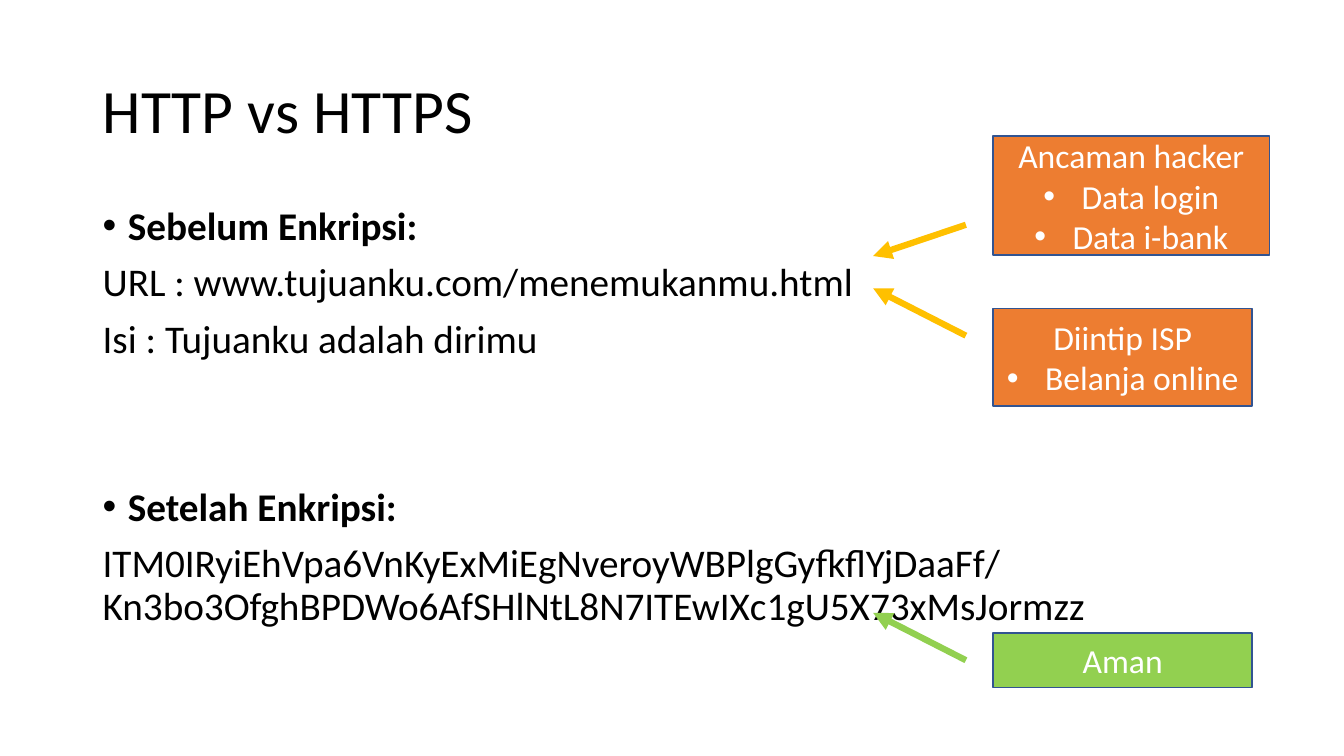
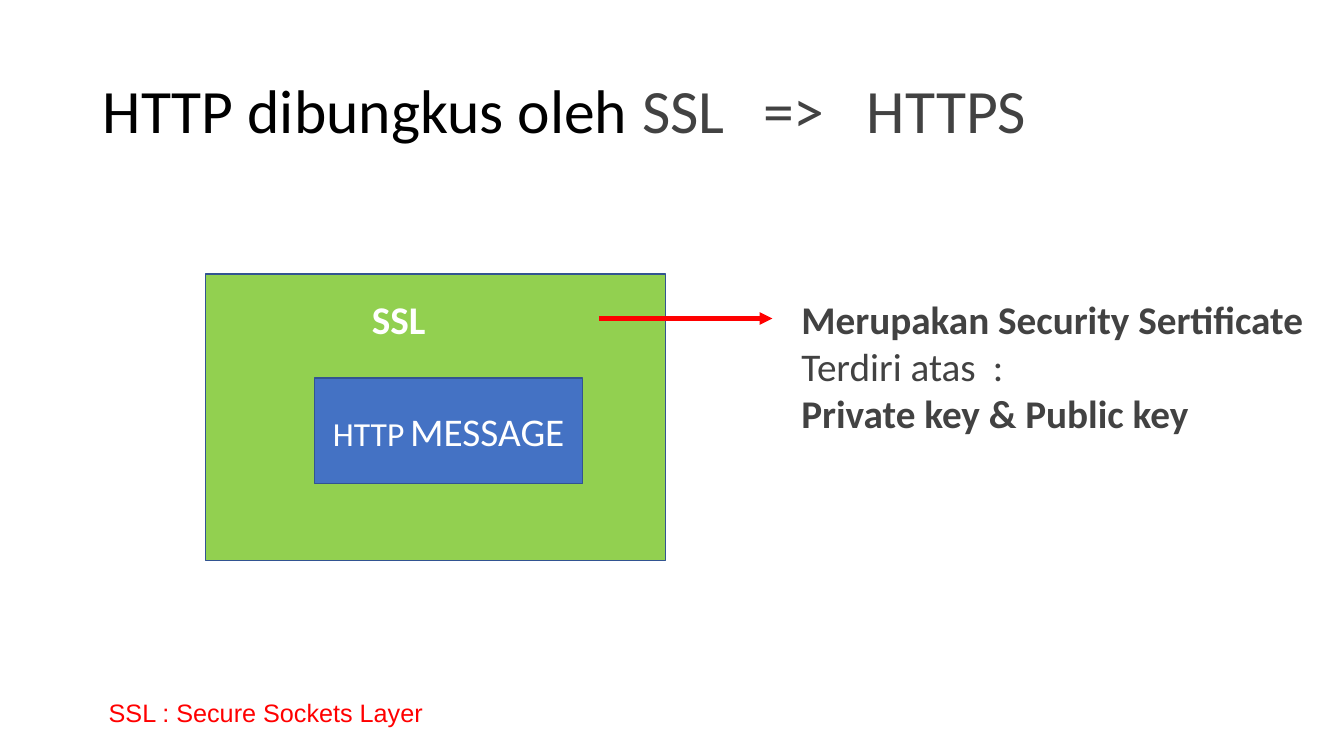
from lxml import etree
from pptx import Presentation
from pptx import util as u
from pptx.dml.color import RGBColor
from pptx.enum import shapes, text
from pptx.oxml import ns

COLORS = {
    "black": "000000", "white": "FFFFFF", "gray": "424242", "outline": "325491",
    "orange": "ED7D31", "yellow": "FFC000", "green": "92D050",
    "blue": "4472C4", "red": "FF0000",
}
TITLE_BOX = (0.92, 0.4, 11.5, 1.45)


def rgb(name):
    return RGBColor.from_string(COLORS[name])


def child(parent, tag, **attributes):
    return etree.SubElement(parent, ns.qn(tag), attributes)


def style_font(font, size=None, color=None, bold=None, name=None):
    if size:
        font.size = u.Pt(size)
    if color:
        font.color.rgb = rgb(color)
    if bold is not None:
        font.bold = bold
    if name:
        font.name = name


def fill_paragraph(paragraph, runs, size, color, bold=False, name="Calibri",
                   bullet=0, tabs=(), align=None, line_spacing=None, before=0):
    """Write a string or (string, font overrides) runs; bullet is the hanging indent."""
    properties = paragraph._p.get_or_add_pPr()
    if bullet:
        properties.set("marL", str(u.Inches(bullet)))
        properties.set("indent", str(-u.Inches(bullet)))
        child(properties, "a:buFont", typeface="Arial")
        child(properties, "a:buChar", char="•")
    if tabs:
        stops = child(properties, "a:tabLst")
        for stop in tabs:
            child(stops, "a:tab", pos=str(u.Inches(stop)), algn="l")
    style_font(paragraph.font, size, color, bold, name)
    paragraph.alignment = align
    paragraph.line_spacing = line_spacing
    if before:
        paragraph.space_before = u.Pt(before)
    for content, overrides in [(runs, {})] if isinstance(runs, str) else runs:
        run = paragraph.add_run()
        run.text = content
        style_font(run.font, **overrides)


def fill_frame(frame, paragraphs, **shared):
    """Write (runs, paragraph options) pairs; shared options apply to all of them."""
    for index, (runs, options) in enumerate(paragraphs):
        paragraph = frame.add_paragraph() if index else frame.paragraphs[0]
        fill_paragraph(paragraph, runs, **{**shared, **options})


def add_text(slide, box, paragraphs, wrap=True, anchor=text.MSO_ANCHOR.TOP, **shared):
    frame = slide.shapes.add_textbox(*map(u.Inches, box)).text_frame
    frame.word_wrap = wrap
    frame.vertical_anchor = anchor
    fill_frame(frame, paragraphs, **shared)


def add_title(slide, runs, tabs=()):
    add_text(slide, TITLE_BOX, [(runs, {})], anchor=text.MSO_ANCHOR.MIDDLE,
             size=44, color="black", line_spacing=0.9, tabs=tabs)


def add_box(slide, box, fill, paragraphs=()):
    shape = slide.shapes.add_shape(shapes.MSO_SHAPE.RECTANGLE, *map(u.Inches, box))
    shape.shadow.inherit = False
    shape.fill.solid()
    shape.fill.fore_color.rgb = rgb(fill)
    shape.line.color.rgb = rgb("outline")
    shape.line.width = u.Pt(1)
    shape.text_frame.word_wrap = True
    shape.text_frame.vertical_anchor = text.MSO_ANCHOR.MIDDLE
    fill_frame(shape.text_frame, paragraphs, size=24, color="white",
               align=text.PP_ALIGN.CENTER)


def add_arrow(slide, start, end, color, width):
    arrow = slide.shapes.add_connector(
        shapes.MSO_CONNECTOR.STRAIGHT, *map(u.Inches, (*start, *end)))
    arrow.line.color.rgb = rgb(color)
    arrow.line.width = u.Pt(width)
    child(arrow.line._get_or_add_ln(), "a:tailEnd", type="triangle")
    child(arrow._element.spPr, "a:effectLst")


def add_callout(slide, box, fill, arrow_color, arrow_top, arrow_rise, heading, items=()):
    """Box with an arrow on its left; arrow_top is measured from the top of the box."""
    left, top = box[:2]
    bullets = [(item, {"bullet": 0.38}) for item in items]
    add_box(slide, box, fill, [(heading, {}), *bullets])
    start = (left - 0.27, top + arrow_top)
    add_arrow(slide, start, (start[0] - 0.92, start[1] + arrow_rise), arrow_color, 4.5)


def add_encryption_text(slide, box):
    heading = {"bold": True, "bullet": 0.25}
    line = {"before": 10}
    add_text(slide, box, [
        ("Sebelum Enkripsi:", heading),
        ("URL : www.tujuanku.com/menemukanmu.html", line),
        ("Isi : Tujuanku adalah dirimu", line),
        ("Setelah Enkripsi:", {**heading, "before": 90}),
        ("ITM0IRyiEhVpa6VnKyExMiEgNveroyWBPlgGyfkflYjDaaFf/"
         "Kn3bo3OfghBPDWo6AfSHlNtL8N7ITEwIXc1gU5X73xMsJormzz", line),
    ], size=28, color="black", line_spacing=0.9)


def add_ssl_diagram(slide, box):
    left, top, width, height = box
    add_box(slide, box, "green")
    add_box(slide, (left + 1.08, top + 1.03, 2.66, 1.05), "blue", [
        ([("HTTP", {}), (" ", {"size": 18}), ("MESSAGE", {"size": 28})], {})])
    add_text(slide, (left + 1.55, top + 0.16, 0.74, 0.57), [("SSL", {})], wrap=False,
             size=28, color="white", bold=True)
    arrow_y = top + 0.44
    add_arrow(slide, (left + 3.9, arrow_y), (left + 5.62, arrow_y), "red", 3)


def add_certificate_text(slide, box):
    add_text(slide, box, [
        ("Merupakan Security Sertificate", {"bold": True}),
        ("Terdiri atas\t:", {"tabs": [1.9]}),
        ("Private key & Public key", {"bold": True}),
    ], size=28, color="gray")


def build_comparison(slide):
    add_title(slide, "HTTP vs HTTPS")
    add_encryption_text(slide, (0.92, 2, 11.5, 4.76))
    add_callout(slide, (9.85, 1.35, 2.74, 1.18), "orange", "yellow", 0.88, 0.31,
                "Ancaman hacker", ["Data login", "Data i-bank"])
    add_callout(slide, (9.85, 3.06, 2.57, 0.97), "orange", "yellow", 0.27, -0.47,
                "Diintip ISP", ["Belanja online"])
    add_callout(slide, (9.85, 6.28, 2.57, 0.54), "green", "green", 0.27, -0.47, "Aman")


def build_wrapping(slide):
    add_title(slide, [("HTTP dibungkus oleh ", {}),
                      ("SSL\t=>\tHTTPS", {"color": "gray"})], tabs=[6.55, 7.58])
    add_ssl_diagram(slide, (2.04, 2.72, 4.56, 2.84))
    add_certificate_text(slide, (7.85, 2.88, 5.25, 1.51))
    add_text(slide, (0.98, 6.87, 6.67, 0.4), [("SSL : Secure Sockets Layer", {})],
             size=18, color="red", name="Arial")


def main():
    presentation = Presentation()
    presentation.slide_width = u.Inches(13.33)
    presentation.slide_height = u.Inches(7.5)
    for build in (build_comparison, build_wrapping):
        build(presentation.slides.add_slide(presentation.slide_layouts[6]))
    presentation.save("out.pptx")


if __name__ == "__main__":
    main()
